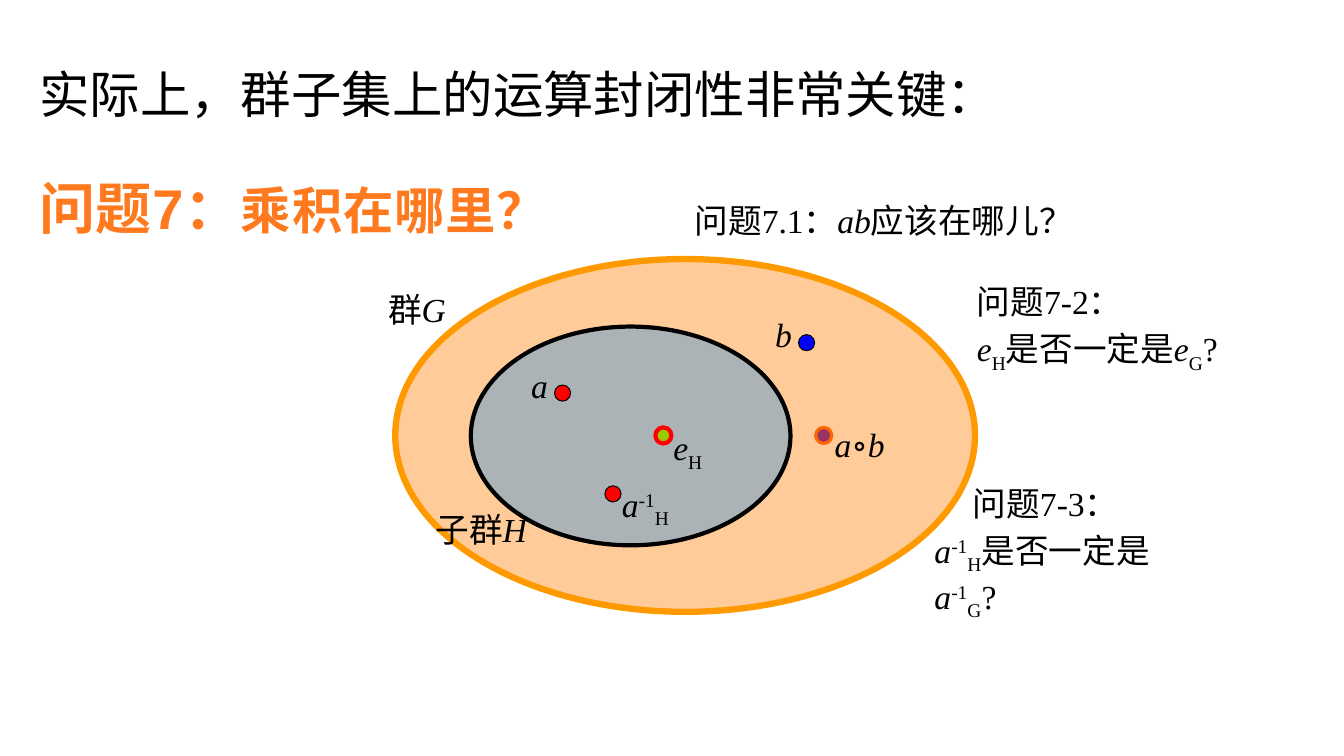
from dataclasses import dataclass

from lxml import etree
from pptx import Presentation
from pptx.dml.color import RGBColor
from pptx.enum.shapes import MSO_SHAPE
from pptx.enum.text import MSO_ANCHOR, MSO_AUTO_SIZE, PP_ALIGN
from pptx.oxml.ns import qn
from pptx.slide import Slide
from pptx.util import Pt

EMU_PER_PX = 9144
OVAL = MSO_SHAPE.OVAL
TOP = MSO_ANCHOR.TOP
LEFT = PP_ALIGN.LEFT
NO_AUTOFIT = MSO_AUTO_SIZE.NONE
TITLE_ONLY = 5
SERIF = "Times New Roman"
SANS = "Arial"
BLACK = "000000"
RED = "FF0000"
ORANGE = "FF7A1F"
DOT = 16


@dataclass(frozen=True)
class Ellipse:
    """A filled and outlined ellipse, with opacity in percent."""
    left: int
    top: int
    width: int
    height: int
    fill: str
    line: str
    line_pt: float
    opacity: int = 100


@dataclass(frozen=True)
class Piece:
    """A stretch of text in one style, with baseline shift in percent."""
    text: str
    italic: bool = False
    shift: int = 0
    size: int = 24
    font: str = SERIF
    color: str = BLACK
    bold: bool = False
    spacing: int = 0


@dataclass(frozen=True)
class Label:
    """A text box holding one or more lines of pieces."""
    left: int
    top: int
    width: int
    height: int
    lines: tuple[tuple[Piece, ...], ...]
    first_indent: int = 0


def px(length: int) -> int:
    """Turn px into EMU."""
    return length * EMU_PER_PX


def rgb(color: str) -> RGBColor:
    """Turn a hex string into a colour."""
    return RGBColor.from_string(color)


def var(name: str) -> Piece:
    """Return an italic variable."""
    return Piece(name, italic=True)


def sub(name: str) -> Piece:
    """Return a subscript."""
    return Piece(name, shift=-25)


def dot(left: int, top: int, fill: str, line: str = BLACK, line_pt: float = 0.75) -> Ellipse:
    """Return the small circle that marks a group element."""
    return Ellipse(left, top, DOT, DOT, fill, line, line_pt)


def inverse(group: str) -> tuple[Piece, ...]:
    """Return the inverse of a in the given group."""
    return var("a"), Piece("-1", shift=30), sub(group)


def heading(text: str, size: int) -> Piece:
    """Return a piece of the orange question heading."""
    return Piece(text, size=size, font=SANS, color=ORANGE, bold=True, spacing=50)


GROUP_AND_SUBGROUP = (
    Ellipse(392, 257, 575, 350, "FFCC99", "FF9900", 4.5),
    Ellipse(467, 324, 317, 217, "5B9BD5", BLACK, 3, opacity=50),
)
ELEMENTS = (
    dot(550, 382, RED),
    dot(792, 332, "0000FF"),
    dot(650, 424, "99CC00", RED, 3),
    dot(600, 482, RED),
    dot(809, 424, "993366", "FF6600", 2.25),
)
LABELS = (
    Label(375, 282, 175, 50, ((Piece("群"), var("G")),)),
    Label(422, 500, 128, 50, ((Piece("子群"), var("H")),)),
    Label(517, 357, 42, 50, ((var("a"),),)),
    Label(759, 307, 42, 50, ((var("b"),),)),
    Label(658, 419, 117, 50, ((var("e"), sub("H")),)),
    Label(607, 475, 125, 50, (inverse("H"),)),
    Label(818, 416, 83, 50, ((var("a"), Piece("∘"), var("b")),)),
    Label(679, 193, 508, 50, ((Piece("问题7.1："), var("ab"), Piece("应该在哪儿？")),)),
    Label(959, 274, 275, 99, (
        (Piece("问题7-2："),),
        (var("e"), sub("H"), Piece("是否一定是"), var("e"), sub("G"), Piece("?")),
    )),
    Label(917, 474, 280, 99, (
        (Piece("问题7-3："),),
        (*inverse("H"), Piece("是否一定是"), *inverse("G"), Piece("?")),
    ), first_indent=38),
    Label(29, 167, 593, 77, ((heading("问题7：", 40), heading("乘积在哪里？", 36)),)),
)


def draw_ellipse(slide: Slide, item: Ellipse) -> None:
    """Draw an ellipse."""
    oval = slide.shapes.add_shape(
        OVAL, px(item.left), px(item.top), px(item.width), px(item.height))
    oval.shadow.inherit = False
    oval.fill.solid()
    oval.fill.fore_color.rgb = rgb(item.fill)
    oval.line.color.rgb = rgb(item.line)
    oval.line.width = Pt(item.line_pt)
    if item.opacity < 100:
        fill_color = oval._element.spPr.find(qn("a:solidFill"))[0]
        etree.SubElement(fill_color, qn("a:alpha")).set("val", str(item.opacity * 1000))


def draw_label(slide: Slide, label: Label) -> None:
    """Draw a text box with its styled pieces."""
    frame = slide.shapes.add_textbox(
        px(label.left), px(label.top), px(label.width), px(label.height)).text_frame
    frame.word_wrap = True
    for index, pieces in enumerate(label.lines):
        paragraph = frame.add_paragraph() if index else frame.paragraphs[0]
        if index:
            paragraph.space_before = Pt(4.8)
        elif label.first_indent:
            paragraph._p.get_or_add_pPr().set("indent", str(px(label.first_indent)))
        for piece in pieces:
            run = paragraph.add_run()
            run.text = piece.text
            run.font.name = piece.font
            run.font.size = Pt(piece.size)
            run.font.italic = piece.italic
            run.font.bold = piece.bold
            run.font.color.rgb = rgb(piece.color)
            properties = run._r.get_or_add_rPr()
            if piece.shift:
                properties.set("baseline", str(piece.shift * 1000))
            if piece.spacing:
                properties.set("spc", str(piece.spacing))


def set_title(slide: Slide, text: str) -> None:
    """Place and format the slide title."""
    title = slide.shapes.title
    title.left, title.top, title.width, title.height = px(29), px(58), px(979), px(71)
    frame = title.text_frame
    frame.text = text
    frame.word_wrap = False
    frame.auto_size = NO_AUTOFIT
    frame.vertical_anchor = TOP
    paragraph = frame.paragraphs[0]
    paragraph.alignment = LEFT
    font = paragraph.runs[0].font
    font.name = SANS
    font.size = Pt(36)
    font.color.rgb = rgb(BLACK)


def main() -> None:
    """Build the slide and save it."""
    deck = Presentation()
    deck.slide_width, deck.slide_height = px(1333), px(750)
    slide = deck.slides.add_slide(deck.slide_layouts[TITLE_ONLY])
    set_title(slide, "实际上，群子集上的运算封闭性非常关键：")
    for item in GROUP_AND_SUBGROUP + ELEMENTS:
        draw_ellipse(slide, item)
    for label in LABELS:
        draw_label(slide, label)
    deck.save("out.pptx")


if __name__ == "__main__":
    main()
